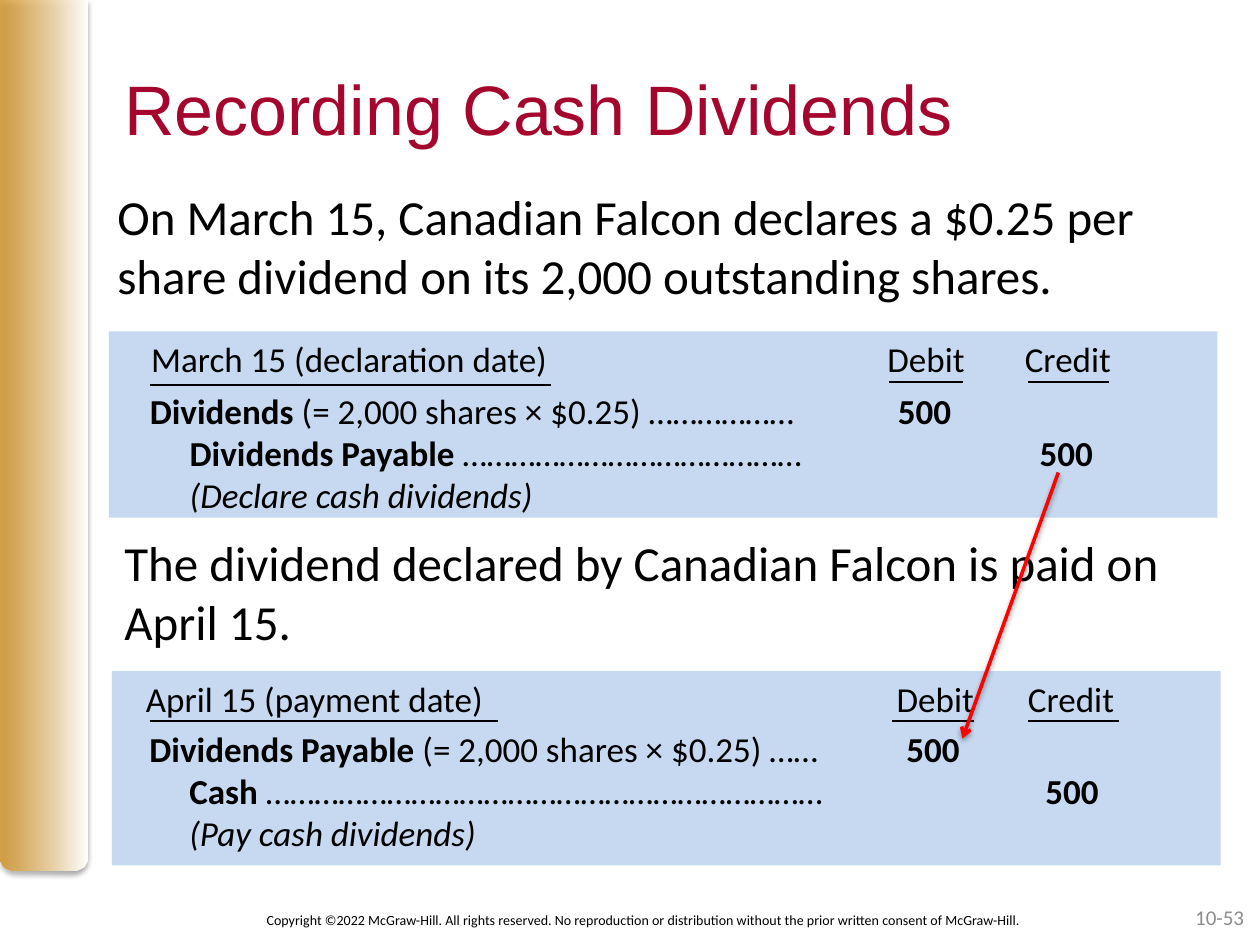
from dataclasses import dataclass

from lxml.etree import SubElement
from pptx import Presentation
from pptx.dml.color import RGBColor
from pptx.enum.shapes import MSO_CONNECTOR, MSO_SHAPE
from pptx.enum.text import MSO_ANCHOR, PP_ALIGN
from pptx.oxml.ns import qn
from pptx.util import Pt

BLACK = RGBColor(0x00, 0x00, 0x00)
WHITE = RGBColor(0xFF, 0xFF, 0xFF)
GOLD = RGBColor(0xD4, 0x93, 0x23)
CRIMSON = RGBColor(0xA5, 0x06, 0x2D)
GRAY = RGBColor(0x8C, 0x8C, 0x8C)
PALE_BLUE = RGBColor(0xC6, 0xD9, 0xF1)
RED = RGBColor(0xFF, 0x00, 0x00)
INSET = 7.2


@dataclass
class Style:
    size: float
    color: RGBColor = BLACK
    font: str = "Calibri"
    align: PP_ALIGN = PP_ALIGN.LEFT
    anchor: MSO_ANCHOR = MSO_ANCHOR.TOP


@dataclass
class Entry:
    heading: str
    lines: list
    heading_left: float
    body_left: float
    body_top: float
    debit: float
    credit: float
    amounts: tuple
    rules: list


def add_text(slide, box, lines, style, tabs=()):
    shape = slide.shapes.add_textbox(*map(Pt, box))
    text_frame = shape.text_frame
    text_frame.word_wrap = True
    text_frame.vertical_anchor = style.anchor
    for index, runs in enumerate(lines):
        paragraph = text_frame.add_paragraph() if index else text_frame.paragraphs[0]
        paragraph.alignment = style.align
        if tabs:
            tab_list = SubElement(paragraph._p.get_or_add_pPr(), qn("a:tabLst"))
            for position in tabs:
                SubElement(tab_list, qn("a:tab"), pos=str(int(Pt(position))), algn="l")
        for text, emphasis in runs:
            run = paragraph.add_run()
            run.text = text
            run.font.name = style.font
            run.font.size = Pt(style.size)
            run.font.color.rgb = style.color
            run.font.bold = emphasis == "bold"
            run.font.italic = emphasis == "italic"


def add_line(slide, start, end, color=BLACK, width=1):
    connector = slide.shapes.add_connector(
        MSO_CONNECTOR.STRAIGHT, *map(Pt, (*start, *end)))
    connector.line.color.rgb = color
    connector.line.width = Pt(width)
    SubElement(connector._element.spPr, qn("a:effectLst"))
    return connector


def add_shadow(shape, blur, distance, opacity):
    effects = shape._element.spPr.find(qn("a:effectLst"))
    shadow = SubElement(effects, qn("a:outerShdw"), blurRad=str(int(Pt(blur))),
                        dist=str(int(Pt(distance))), dir="5400000", rotWithShape="0")
    color = SubElement(shadow, qn("a:srgbClr"), val=str(BLACK))
    SubElement(color, qn("a:alpha"), val=str(opacity * 1000))


def add_side_band(slide, box):
    band = slide.shapes.add_shape(MSO_SHAPE.ROUND_2_SAME_RECTANGLE, *map(Pt, box))
    band._element.spPr.find(qn("a:xfrm")).set("flipV", "1")
    band.shadow.inherit = False
    band.line.fill.background()
    band.fill.gradient()
    band.fill.gradient_angle = 0
    for stop, color in zip(band.fill.gradient_stops, (GOLD, WHITE)):
        stop.color.rgb = color
    gold = band._element.spPr.find(".//" + qn("a:srgbClr"))
    SubElement(gold, qn("a:alpha"), val="80000")
    add_shadow(band, 3.1, 1.8, 35)


def add_entry(slide, box, entry):
    left, top, width, height = box
    panel = slide.shapes.add_shape(MSO_SHAPE.RECTANGLE, *map(Pt, box))
    panel.shadow.inherit = False
    panel.fill.solid()
    panel.fill.fore_color.rgb = PALE_BLUE
    panel.line.fill.background()

    style = Style(20)
    heading_tabs = [column - entry.heading_left for column in (entry.debit, entry.credit)]
    add_text(slide, (left + entry.heading_left - INSET, top, 605, 31.7),
             [[(f"{entry.heading}\tDebit\tCredit", "")]], style, heading_tabs)
    body_tabs = [22.8, *(column - entry.body_left for column in entry.amounts)]
    add_text(slide, (left + entry.body_left - INSET, top + entry.body_top, 605, 80),
             entry.lines, style, body_tabs)
    for start, end, offset in entry.rules:
        add_line(slide, (left + start, top + offset), (left + end, top + offset))


def add_payment_arrow(slide, start, end):
    arrow = add_line(slide, start, end, RED, 2)
    SubElement(arrow.line._get_or_add_ln(), qn("a:tailEnd"), type="arrow")
    add_shadow(arrow, 3.1, 1.6, 38)


def add_footer(slide, box):
    left, top, width, height = box
    notice = ("Copyright ©2022 McGraw-Hill. All rights reserved. No reproduction or "
              "distribution without the prior written consent of McGraw-Hill.")
    add_text(slide, (left, top + 1.5, 515, height), [[(notice, "")]],
             Style(8, align=PP_ALIGN.CENTER, anchor=MSO_ANCHOR.MIDDLE))
    add_text(slide, (left + width - 168, top, 168, height), [[("10-53", "")]],
             Style(12, GRAY, align=PP_ALIGN.RIGHT, anchor=MSO_ANCHOR.MIDDLE))


DECLARATION = Entry(
    "March 15 (declaration date)",
    [[("Dividends ", "bold"), ("(= 2,000 shares × $0.25) ………………", ""), ("\t500", "bold")],
     [("\tDividends Payable ", "bold"), ("……………………………………", ""), ("\t\t500", "bold")],
     [("\t(Declare cash dividends)", "italic")]],
    heading_left=24.3, body_left=23.5, body_top=29.5, debit=445, credit=523.5,
    amounts=(451, 532),
    rules=[(445.6, 488, 29.2), (525.5, 571.6, 29.2), (23.5, 252.4, 30.6)])

PAYMENT = Entry(
    "April 15 (payment date)",
    [[("Dividends Payable ", "bold"), ("(= 2,000 shares × $0.25) ……", ""), ("\t500", "bold")],
     [("\tCash ", "bold"), ("……………………………………………………………", ""), ("\t\t500", "bold")],
     [("\t(Pay cash dividends)", "italic")]],
    heading_left=19.5, body_left=21.5, body_top=28.4, debit=448.5, credit=523.5,
    amounts=(454, 533.5),
    rules=[(445.8, 492.6, 28.4), (523.5, 575.4, 28.4), (21.5, 220.4, 28.4)])


def main():
    presentation = Presentation()
    presentation.slide_width = Pt(720)
    presentation.slide_height = Pt(540)
    slide = presentation.slides.add_slide(presentation.slide_layouts[6])
    add_side_band(slide, (0, 0, 50, 497.5))
    add_text(slide, (64, 34, 648, 90), [[("Recording Cash Dividends", "")]],
             Style(40, CRIMSON, "Arial"))
    add_footer(slide, (110.5, 509.75, 607.5, 29))
    add_entry(slide, (62.2, 189.3, 633.5, 106.5), DECLARATION)
    add_entry(slide, (64, 383.5, 633.5, 111), PAYMENT)
    add_text(slide, (60, 103, 596, 75),
             [[("On March 15, Canadian Falcon declares a $0.25 per share dividend "
                "on its 2,000 outstanding shares.", "")]], Style(28))
    add_text(slide, (64, 301, 610, 75),
             [[("The dividend declared by Canadian Falcon is paid on April 15.", "")]],
             Style(28))
    add_payment_arrow(slide, (604.8, 270), (550, 422))
    presentation.save("out.pptx")


if __name__ == "__main__":
    main()
